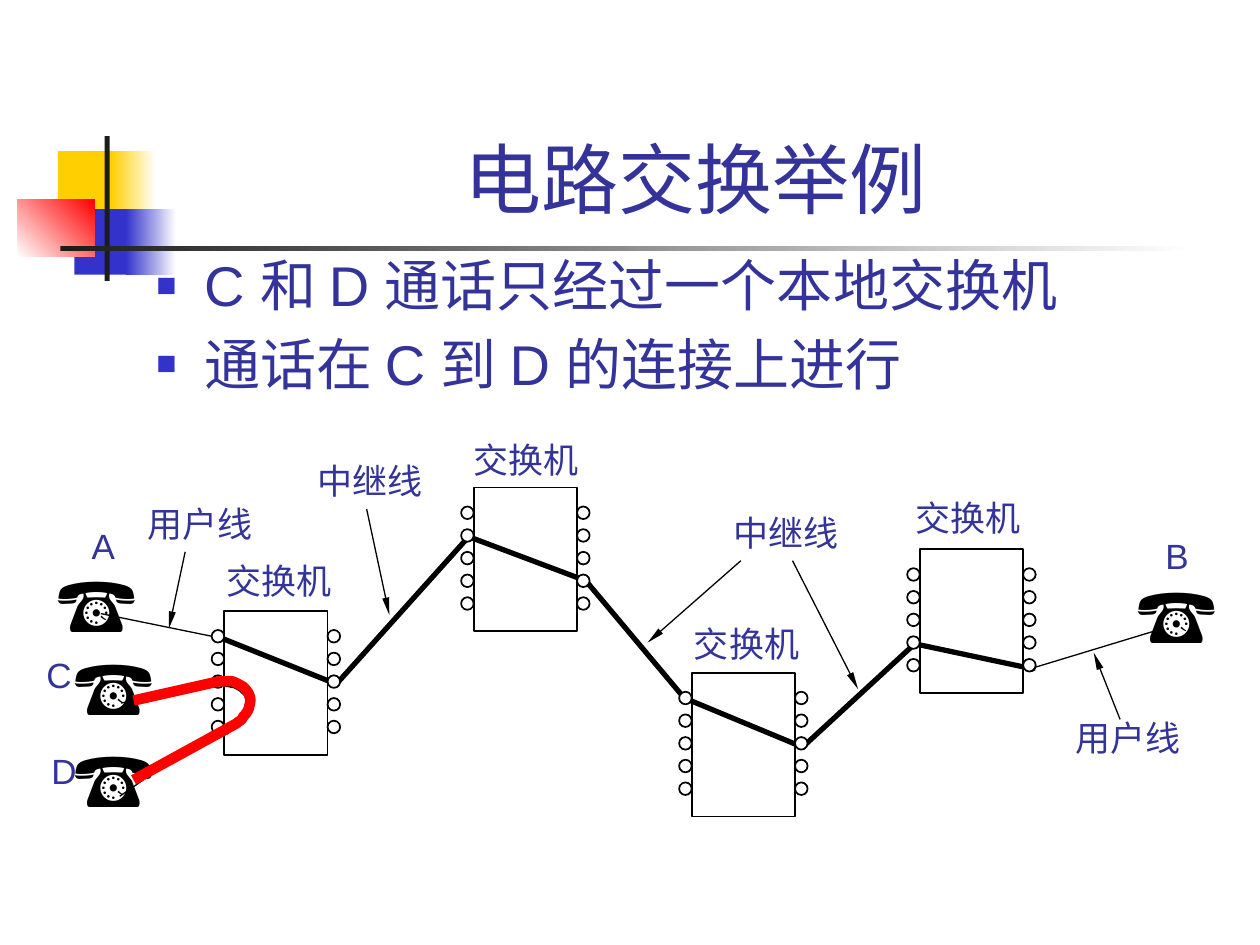
from lxml.etree import SubElement
from pptx import Presentation
from pptx.dml.color import RGBColor
from pptx.enum.shapes import MSO_CONNECTOR, MSO_SHAPE
from pptx.enum.text import MSO_ANCHOR, MSO_AUTO_SIZE, PP_ALIGN
from pptx.oxml.ns import qn
from pptx.util import Inches, Pt

INK = RGBColor(0x33, 0x33, 0x99)
BLUE = RGBColor(0x33, 0x33, 0xCC)
YELLOW = RGBColor(0xFF, 0xCF, 0x01)
RED = RGBColor(0xFF, 0x00, 0x00)
DARK = RGBColor(0x1C, 0x1C, 0x1C)
BLACK = RGBColor(0x00, 0x00, 0x00)
WHITE = RGBColor(0xFF, 0xFF, 0xFF)


def bezier(points, steps=6):
    """Points along a chain of cubic curves: a start, then three points per curve."""
    curve = [points[0]]
    for first in range(0, len(points) - 1, 3):
        a, b, c, d = points[first:first + 4]
        for step in range(1, steps + 1):
            t = step / steps
            weights = ((1 - t) ** 3, 3 * t * (1 - t) ** 2, 3 * t * t * (1 - t), t ** 3)
            curve.append(tuple(sum(w * p[axis] for w, p in zip(weights, (a, b, c, d)))
                               for axis in (0, 1)))
    return curve


class Painter:
    def __init__(self, page):
        self.page = page

    def shape(self, kind, box, fill=None, line=None, fade=None, angle=0):
        shape = self.page.shapes.add_shape(kind, *map(Inches, box))
        shape.shadow.inherit = False
        if fade is not None:
            shape.fill.gradient()
            shape.fill.gradient_angle = angle
            for stop, color, position in zip(shape.fill.gradient_stops, (fill, fade), (0, 1)):
                stop.color.rgb = color
                stop.position = position
        elif fill is not None:
            shape.fill.solid()
            shape.fill.fore_color.rgb = fill
        else:
            shape.fill.background()
        if line is not None:
            shape.line.color.rgb = line
            shape.line.width = Pt(1)
        else:
            shape.line.fill.background()

    def line(self, start, end, color=BLACK, width=0.75, arrow=False):
        line = self.page.shapes.add_connector(
            MSO_CONNECTOR.STRAIGHT, *map(Inches, (*start, *end)))
        line.line.color.rgb = color
        line.line.width = Pt(width)
        if arrow:
            SubElement(line.line._get_or_add_ln(), qn("a:tailEnd"),
                       type="triangle", w="sm", len="lg")
        SubElement(line.element.spPr, qn("a:effectLst"))

    def route(self, points, color, width):
        builder = self.page.shapes.build_freeform(
            *(Inches(value) for value in points[0]), scale=1.0)
        builder.add_line_segments([(Inches(x), Inches(y)) for x, y in points[1:]], close=False)
        route = builder.convert_to_shape()
        route.shadow.inherit = False
        route.fill.background()
        route.line.color.rgb = color
        route.line.width = Pt(width)

    def span(self, para, text, size, font="Arial", color=INK):
        span = para.add_run()
        span.text = text
        span.font.size = Pt(size)
        span.font.name = font
        span.font.color.rgb = color

    def label(self, box, text, size=20, font="Times New Roman", color=INK):
        label = self.page.shapes.add_textbox(*map(Inches, box))
        frame = label.text_frame
        frame.word_wrap = False
        frame.auto_size = MSO_AUTO_SIZE.SHAPE_TO_FIT_TEXT
        frame.margin_right = 0  # room for three full-width characters
        self.span(frame.paragraphs[0], text, size, font, color)

    def place(self, holder, box):
        holder.left, holder.top, holder.width, holder.height = map(Inches, box)
        holder.element.getparent().append(holder.element)
        frame = holder.text_frame
        frame.word_wrap = True
        frame.auto_size = MSO_AUTO_SIZE.NONE
        return frame

    def title(self, text):
        frame = self.place(self.page.shapes.title, (1.26, 0.23, 8.52, 1.6))
        frame.vertical_anchor = MSO_ANCHOR.BOTTOM
        para = frame.paragraphs[0]
        para.alignment = PP_ALIGN.CENTER
        self.span(para, text, 44)

    def bullets(self, items):
        frame = self.place(self.page.placeholders[1], (1.14, 1.94, 8.5, 4.5))
        for index, item in enumerate(items):
            para = frame.add_paragraph() if index else frame.paragraphs[0]
            para.space_before = Pt(6.4 if index else 0)
            props = para._p.get_or_add_pPr()
            props.set("marL", str(Inches(0.38)))
            props.set("indent", str(Inches(-0.38)))
            SubElement(SubElement(props, qn("a:buClr")), qn("a:srgbClr"), val=str(BLUE))
            SubElement(props, qn("a:buSzPct"), val="60000")
            SubElement(props, qn("a:buFont"), typeface="Arial")
            SubElement(props, qn("a:buChar"), char="■")
            self.span(para, item, 32)

    def switch(self, left, top):
        self.shape(MSO_SHAPE.RECTANGLE, (left, top, 0.82, 1.14), line=BLACK)
        for offset in (-0.1, 0.82):
            for row in range(5):
                port = (left + offset, top + 0.15 + 0.18 * row, 0.1, 0.1)
                self.shape(MSO_SHAPE.OVAL, port, WHITE, BLACK)

    def phone(self, left, top):
        self.label((left, top, 0.86, 0.83), "☎", 44, "Arial", BLACK)


def main():
    deck = Presentation()
    deck.slide_width, deck.slide_height = Inches(10), Inches(7.5)
    painter = Painter(deck.slides.add_slide(deck.slide_layouts[1]))

    # Corner ornament and rule
    for box, fill, fade, angle in (
        ((0.46, 1.2, 0.48, 0.52), YELLOW, None, 0),
        ((0.88, 1.2, 0.36, 0.52), YELLOW, WHITE, 0),
        ((0.59, 1.66, 0.46, 0.52), BLUE, None, 0),
        ((1, 1.66, 0.4, 0.52), BLUE, WHITE, 0),
        ((0.14, 1.58, 0.61, 0.46), WHITE, RED, 45),
        ((0.83, 1.08, 0.04, 1.15), DARK, None, 0),
        ((0.48, 1.95, 9, 0.04), DARK, WHITE, 0),
    ):
        painter.shape(MSO_SHAPE.RECTANGLE, box, fill, fade=fade, angle=angle)

    # Title and list
    painter.title("电路交换举例")
    painter.bullets(("C 和 D 通话只经过一个本地交换机", "通话在 C 到 D 的连接上进行"))

    # Subscriber lines and the trunk route from A to B
    painter.route(bezier([
        (1.76, 5.43), (1.77, 5.43), (1.81, 5.43), (1.84, 5.44), (1.87, 5.44), (1.89, 5.46),
        (1.91, 5.47), (1.93, 5.49), (1.96, 5.51), (1.96, 5.53), (1.97, 5.56), (1.98, 5.59),
        (1.97, 5.62), (1.96, 5.65), (1.94, 5.69), (1.92, 5.71), (1.9, 5.73), (1.86, 5.75),
        (1.83, 5.76), (1.8, 5.77), (1.76, 5.78), (1.74, 5.78)]), BLACK, 3)
    for start, end in (((0.95, 6.32), (1.73, 5.78)), ((0.96, 5.58), (1.74, 5.43)),
                       ((8.17, 5.31), (9.19, 5)), ((0.8, 4.87), (1.73, 5.06))):
        painter.line(start, end)
    painter.route([(1.71, 5.04), (1.72, 5.05), (2.67, 5.43), (3.72, 4.26), (4.65, 4.61),
                   (5.43, 5.54), (6.37, 5.93), (7.26, 5.11), (8.2, 5.31), (8.18, 5.29)],
                  BLACK, 3)

    # Switches and telephones
    for left, top in ((1.78, 4.85), (3.76, 3.87), (5.49, 5.34), (7.3, 4.36)):
        painter.switch(left, top)
    for left, top in ((0.36, 4.36), (8.93, 4.45), (0.49, 5.02), (0.49, 5.75)):
        painter.phone(left, top)

    # Pointers from the labels to the lines
    for start, end in (((1.47, 4.38), (1.34, 4.99)), ((8.89, 5.71), (8.68, 5.18)),
                       ((5.88, 4.45), (5.14, 5.1)), ((6.29, 4.45), (6.81, 5.47)),
                       ((2.91, 4.04), (3.09, 4.88))):
        painter.line(start, end, arrow=True)

    # Labels
    for text, spots in (
        ("交换机", ((1.7, 4.39), (3.66, 3.43), (5.41, 4.89), (7.17, 3.89))),
        ("用户线", ((1.07, 3.94), (8.44, 5.64))),
        ("中继线", ((5.72, 4.01), (2.42, 3.6))),
    ):
        for left, top in spots:
            painter.label((left, top, 1.03, 0.43), text)
    for text, left, top in (("B", 9.15, 4.19), ("D", 0.31, 5.9),
                            ("C", 0.27, 5.14), ("A", 0.63, 4.11)):
        painter.label((left, top, 0.4, 0.43), text, font="Arial")

    # Call from C to D
    painter.route(bezier([
        (1.76, 5.41), (1.78, 5.41), (1.83, 5.4), (1.85, 5.41), (1.88, 5.42), (1.91, 5.44),
        (1.93, 5.45), (1.95, 5.47), (1.97, 5.49), (1.98, 5.52), (1.99, 5.54), (1.99, 5.57),
        (1.98, 5.6), (1.98, 5.63), (1.95, 5.67), (1.93, 5.69), (1.92, 5.72), (1.9, 5.72),
        (1.88, 5.74), (1.85, 5.76), (1.8, 5.78), (1.78, 5.8)]), RED, 6)
    painter.line((1.06, 5.56), (1.77, 5.4), RED, 6)
    painter.line((1.06, 6.19), (1.79, 5.79), RED, 6)

    deck.save("out.pptx")


if __name__ == "__main__":
    main()
